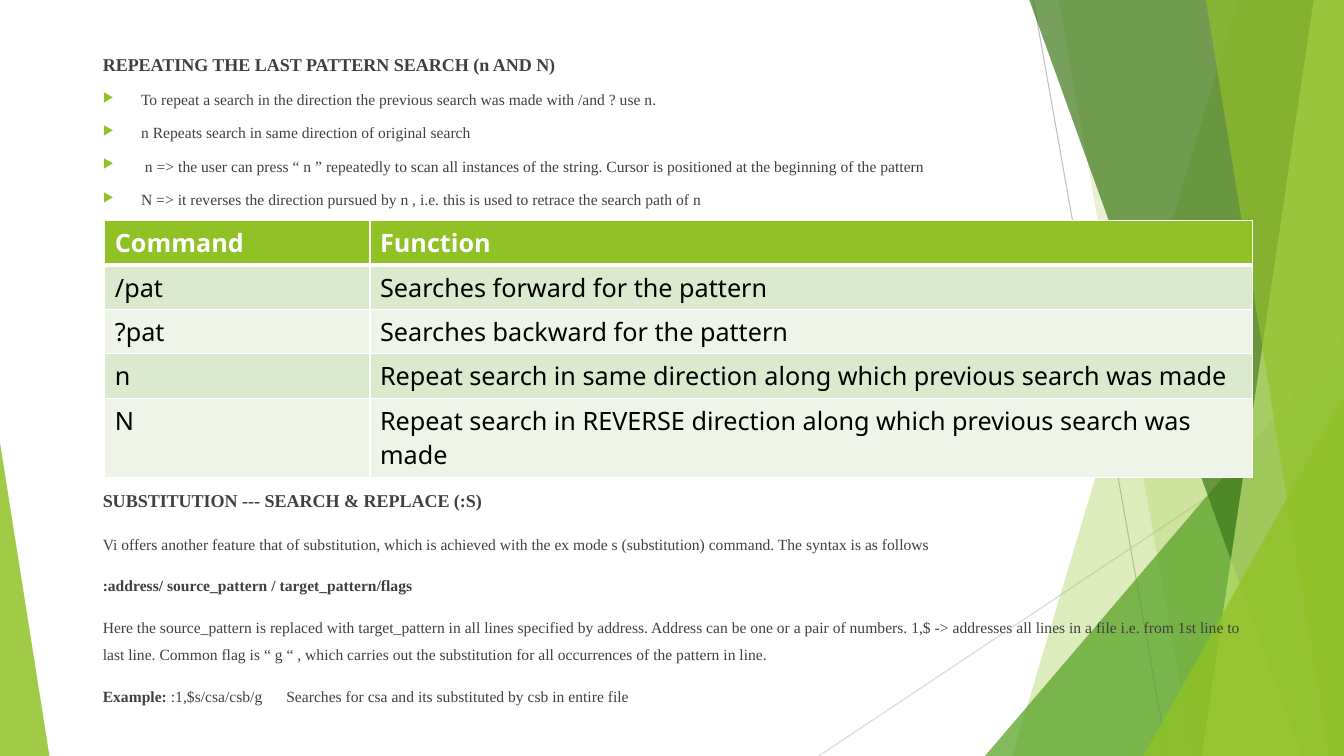
import pptx
import pptx.util
import pptx.dml.color
import pptx.enum.shapes
import pptx.oxml
import pptx.oxml.ns
import lxml.etree

RGBColor = pptx.dml.color.RGBColor
MSO_SHAPE = pptx.enum.shapes.MSO_SHAPE
qn = pptx.oxml.ns.qn
LIME = RGBColor(0x90, 0xC2, 0x26)
LEAF = RGBColor(0x54, 0xA0, 0x21)
FOREST = RGBColor(0x3F, 0x78, 0x19)
PALE_LIME = RGBColor(0xC0, 0xE4, 0x74)
GREY = RGBColor(0xBF, 0xBF, 0xBF)
LIGHT_GREY = RGBColor(0xD9, 0xD9, 0xD9)
INK = RGBColor(0x40, 0x40, 0x40)
BLACK = RGBColor(0, 0, 0)
WHITE = RGBColor(0xFF, 0xFF, 0xFF)
BANDS = RGBColor(0xDB, 0xE9, 0xCD), RGBColor(0xEE, 0xF4, 0xE8)


class Page:
    """Style and current slide; lengths are percent of slide width or height."""
    body_font, table_font = "Times New Roman", "Noto Sans"
    head_size, body_size, table_size = 12.9, 11.1, 18
    gap = 10.5
    indent = pptx.util.Inches(0.38)
    example_tab = pptx.util.Inches(1.82)

    def __init__(self, deck):
        self.slide = deck.slides.add_slide(deck.slide_layouts[6])
        self.shapes = self.slide.shapes
        self.width, self.height = deck.slide_width, deck.slide_height

    def x(self, share):
        return round(self.width * share / 100)

    def y(self, share):
        return round(self.height * share / 100)

    def line(self, start, end, color):
        rule = self.shapes.add_connector(
            pptx.enum.shapes.MSO_CONNECTOR.STRAIGHT,
            self.x(start[0]), self.y(start[1]), self.x(end[0]), self.y(end[1]))
        rule.line.color.rgb, rule.line.width = color, pptx.util.Pt(0.75)
        lxml.etree.SubElement(rule._element.spPr, qn("a:effectLst"))

    def paint(self, shape, color, opacity):
        shape.shadow.inherit = False
        shape.line.fill.background()
        shape.fill.solid()
        shape.fill.fore_color.rgb = color
        tint = shape._element.spPr.find(qn("a:solidFill"))[0]
        lxml.etree.SubElement(tint, qn("a:alpha"), val=str(opacity * 1000))

    def facet(self, top, bottom, color, opacity):
        """A panel from a slanted left edge to the right edge of the slide."""
        outline = self.shapes.build_freeform(self.x(top), 0)
        outline.add_line_segments([(self.x(100), 0), (self.x(100), self.y(100)),
                                   (self.x(bottom), self.y(100))])
        self.paint(outline.convert_to_shape(), color, opacity)

    def corner(self, left, top, width, peak, color, opacity):
        """A triangle standing on the bottom edge of the slide."""
        shape = self.shapes.add_shape(
            MSO_SHAPE.ISOSCELES_TRIANGLE, self.x(left), self.y(top),
            self.x(width), self.y(100 - top))
        shape.adjustments[0] = peak
        self.paint(shape, color, opacity)

    def text(self, left, top, width, height, heading, items, spacing=1.0, bullets=False):
        """A bold heading and its paragraphs, each a list of (words, bold)."""
        frame = self.shapes.add_textbox(self.x(left), self.y(top),
                                        self.x(width), self.y(height)).text_frame
        frame.word_wrap = True
        frame.margin_left = frame.margin_right = frame.margin_top = frame.margin_bottom = 0
        for i, parts in enumerate([[(heading, True)]] + items):
            paragraph = frame.add_paragraph() if i else frame.paragraphs[0]
            for words, bold in parts:
                run = paragraph.add_run()
                run.text = words
                self.style(run, self.body_font, self.body_size if i else self.head_size,
                           INK, bold)
            if i:
                paragraph.space_before = pptx.util.Pt(self.gap)
                paragraph.line_spacing = spacing
            props = paragraph._p.get_or_add_pPr()
            if i and bullets:
                self.bullet(props)
            if "\t" in parts[-1][0]:
                tabs = lxml.etree.SubElement(props, qn("a:tabLst"))
                lxml.etree.SubElement(tabs, qn("a:tab"), pos=str(self.example_tab), algn="l")

    def bullet(self, props):
        props.set("marL", str(self.indent))
        props.set("indent", str(-self.indent))
        tint = lxml.etree.SubElement(props, qn("a:buClr"))
        lxml.etree.SubElement(tint, qn("a:srgbClr"), val=str(LIME))
        lxml.etree.SubElement(props, qn("a:buSzPct"), val="80000")
        lxml.etree.SubElement(props, qn("a:buChar"), char="▶")

    def style(self, run, face, size, color, bold):
        run.font.name, run.font.size = face, pptx.util.Pt(size)
        run.font.color.rgb, run.font.bold = color, bold

    def table(self, left, top, columns, heights, rows):
        grid = self.shapes.add_table(
            len(rows), len(columns), self.x(left), self.y(top),
            self.x(sum(columns)), self.y(sum(heights))).table
        for column, width in zip(grid.columns, columns):
            column.width = self.x(width)
        for r, words in enumerate(rows):
            grid.rows[r].height = self.y(heights[r])
            for c, word in enumerate(words):
                cell = grid.cell(r, c)
                cell.text_frame.text = word
                self.style(cell.text_frame.paragraphs[0].runs[0], self.table_font,
                           self.table_size, BLACK if r else WHITE, r == 0)
                self.borders(cell, top=3 if r == 1 else 1, bottom=1 if r else 3)
                cell.fill.solid()
                cell.fill.fore_color.rgb = BANDS[(r - 1) % 2] if r else LIME

    def borders(self, cell, top, bottom):
        props = cell._tc.get_or_add_tcPr()
        for side, points in (("L", 1), ("R", 1), ("T", top), ("B", bottom)):
            edge = lxml.etree.SubElement(props, qn("a:ln" + side),
                                         w=str(pptx.util.Pt(points)))
            fill = lxml.etree.SubElement(edge, qn("a:solidFill"))
            lxml.etree.SubElement(fill, qn("a:srgbClr"), val=str(WHITE))


deck = pptx.Presentation()
deck.slide_width, deck.slide_height = pptx.util.Inches(13.33), pptx.util.Inches(7.5)
page = Page(deck)

# Faceted background
page.line((76.89, 0), (86.87, 100), GREY)
page.line((100, 53.73), (60.92, 100), LIGHT_GREY)
page.facet(92.12, 75.32, LIME, 30)
page.facet(78.77, 88.75, LIME, 20)
page.corner(73.29, 44.4, 26.71, 1, LEAF, 72)
page.facet(76.59, 96.85, FOREST, 70)
page.facet(97.75, 89.42, PALE_LIME, 70)
page.facet(89.72, 98.87, LIME, 65)
page.corner(85.07, 52.4, 14.93, 1, LIME, 80)
page.corner(0, 58.53, 3.68, 0, LIME, 85)

# Repeating a search
repeat_notes = [
    "To repeat a search in the direction the previous search was made with /and ? use n.",
    "n Repeats search in same direction of original search",
    " n => the user can press “ n ” repeatedly to scan all instances of the string. "
    "Cursor is positioned at the beginning of the pattern",
    "N => it reverses the direction pursued by n , i.e. this is used to retrace "
    "the search path of n",
]
page.text(7.65, 7.07, 84.77, 21, "REPEATING THE LAST PATTERN SEARCH (n AND N)",
          [[(note, False)] for note in repeat_notes], bullets=True)

# Substitution
page.text(7.65, 64.8, 84.77, 28, "SUBSTITUTION --- SEARCH & REPLACE (:S)", [
    [("Vi offers another feature that of substitution, which is achieved with the ex mode "
      "s (substitution) command. The syntax is as follows", False)],
    [(":address/ source_pattern / target_pattern/flags", True)],
    [("Here the source_pattern is replaced with target_pattern in all lines specified by "
      "address. Address can be one or a pair of numbers. 1,$ -> addresses all lines in a "
      "file i.e. from 1st line to last line. Common flag is “ g “ , which carries out the "
      "substitution for all occurrences of the pattern in line.", False)],
    [("Example: ", True),
     (":1,$s/csa/csb/g\tSearches for csa and its substituted by csb in entire file", False)],
], spacing=1.45)

# Search commands
page.table(7.8, 29.2, [19.73, 65.64], [5.87] * 4 + [10.5], [
    ("Command", "Function"),
    ("/pat", "Searches forward for the pattern"),
    ("?pat", "Searches backward for the pattern"),
    ("n", "Repeat search in same direction along which previous search was made"),
    ("N", "Repeat search in REVERSE direction along which previous search was made"),
])

deck.save("out.pptx")
